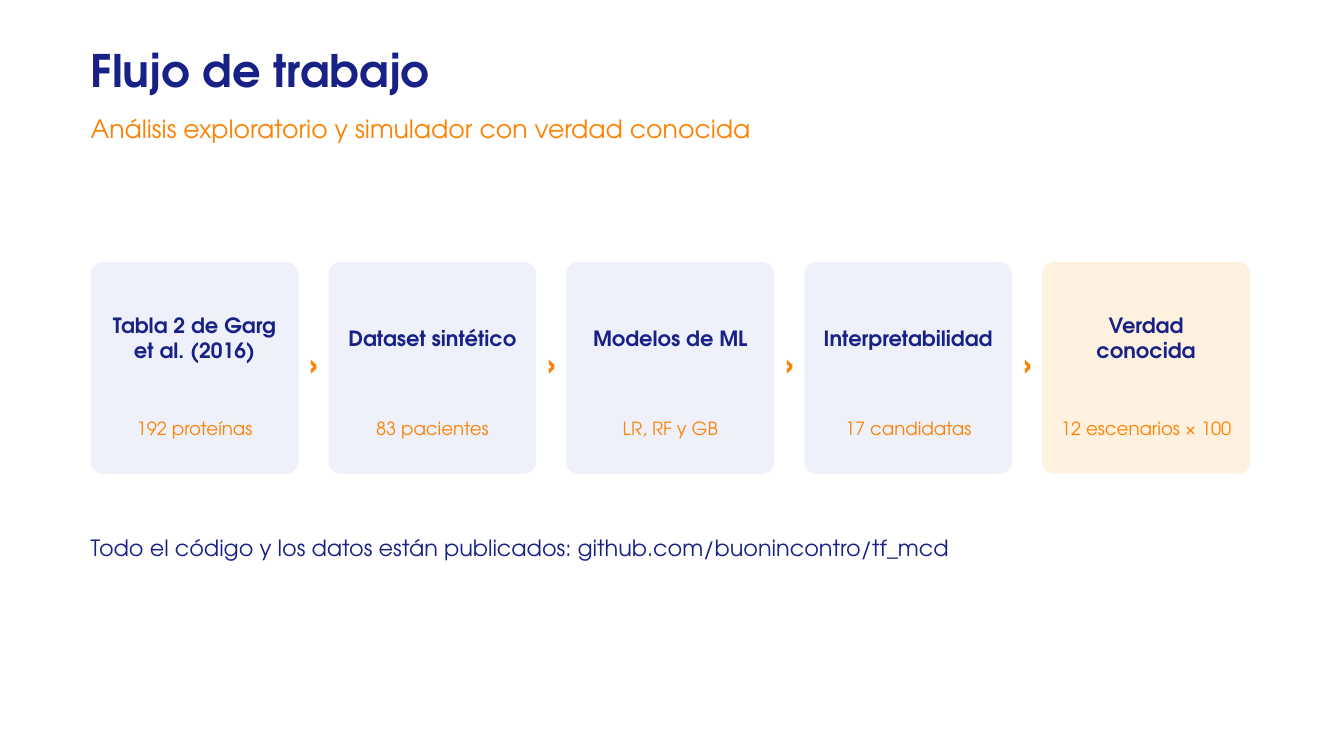
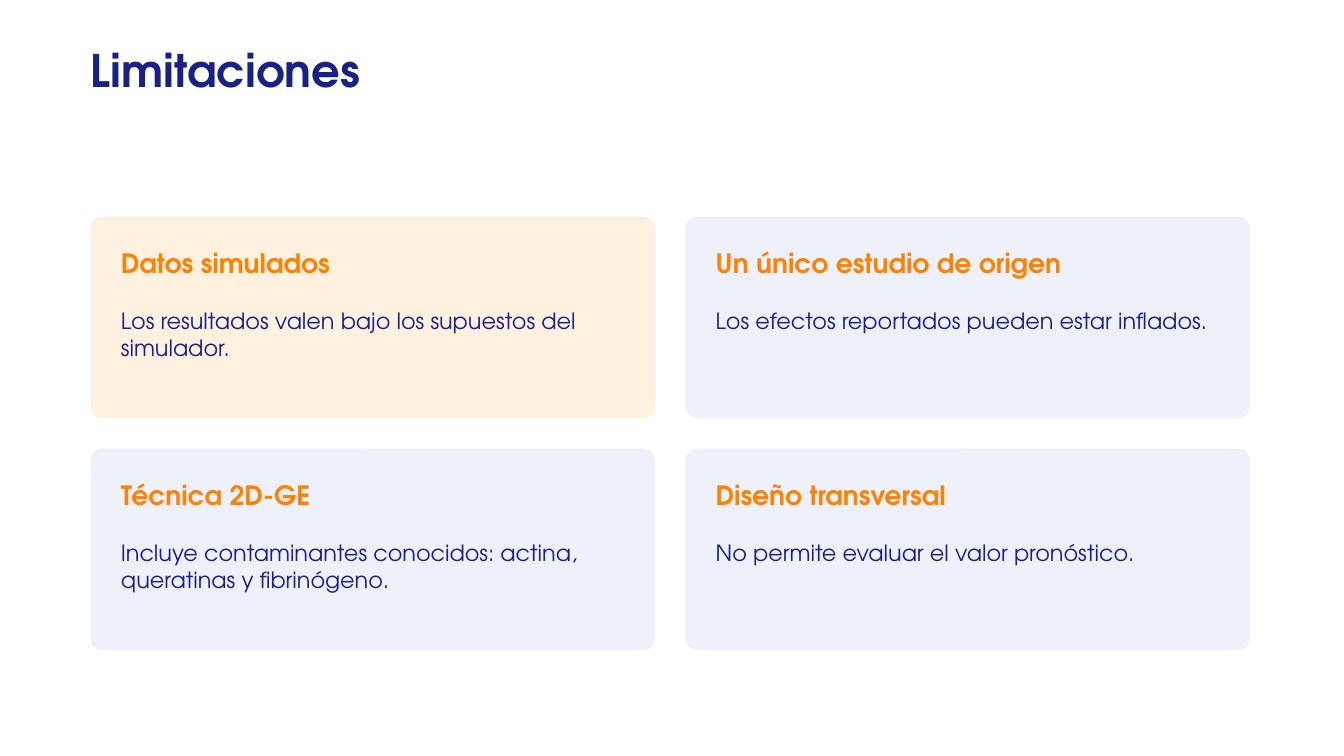
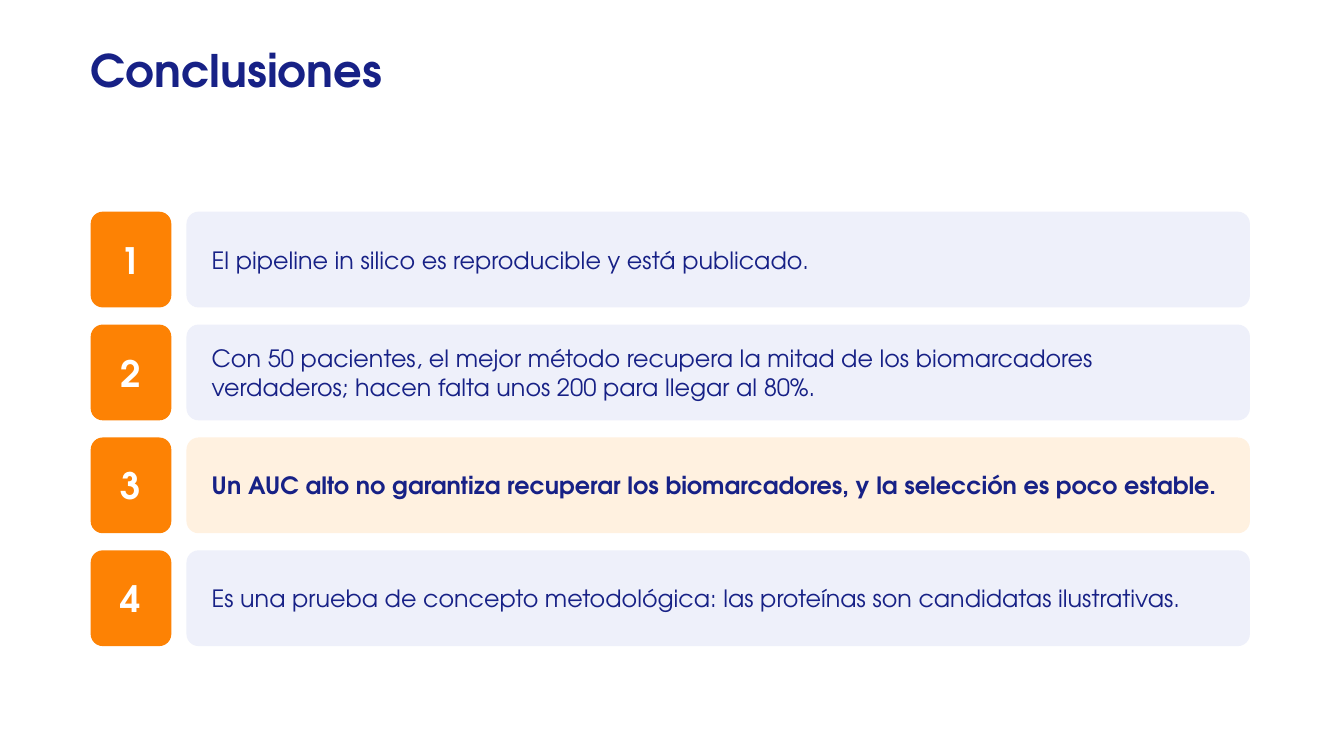
from pptx import Presentation
from pptx.dml.color import RGBColor
from pptx.enum.shapes import MSO_SHAPE
from pptx.enum.text import MSO_ANCHOR, MSO_AUTO_SIZE, PP_ALIGN
from pptx.util import Pt

COLORS = {
    "navy": "172186",
    "orange": "FD8204",
    "lavender": "EEF0FA",
    "cream": "FFF1E0",
    "white": "FFFFFF",
}
FONT = "TeX Gyre Adventor"
LEFT, WIDTH = 64.8, 828
RADIUS = 8.64


class Deck:
    def __init__(self):
        self.prs = Presentation()
        self.prs.slide_width, self.prs.slide_height = Pt(960), Pt(540)
        self.s = None

    def color(self, name):
        return RGBColor.from_string(COLORS[name])

    def slide(self, title, subtitle=None):
        self.s = self.prs.slides.add_slide(self.prs.slide_layouts[6])
        self.text(title, LEFT, 30.24, 734.4, 50.4, 32, bold=True)
        if subtitle:
            self.text(subtitle, LEFT, 80.64, 734.4, 32.4, 18, "orange")

    def text(self, text, x, y, w, h, size, color="navy", bold=False,
             middle=False, center=False):
        tf = self.s.shapes.add_textbox(Pt(x), Pt(y), Pt(w), Pt(h)).text_frame
        tf.word_wrap = True
        tf.auto_size = MSO_AUTO_SIZE.SHAPE_TO_FIT_TEXT
        tf.margin_left = tf.margin_top = tf.margin_right = tf.margin_bottom = 0
        tf.vertical_anchor = MSO_ANCHOR.MIDDLE if middle else MSO_ANCHOR.TOP
        p = tf.paragraphs[0]
        p.text = text
        p.alignment = PP_ALIGN.CENTER if center else PP_ALIGN.LEFT
        p.space_after = Pt(6)
        p.font.name, p.font.size, p.font.bold = FONT, Pt(size), bold
        p.font.color.rgb = self.color(color)

    def label(self, *args, **kwargs):
        self.text(*args, middle=True, center=True, **kwargs)

    def card(self, x, y, w, h, fill="lavender"):
        sp = self.s.shapes.add_shape(
            MSO_SHAPE.ROUNDED_RECTANGLE, Pt(x), Pt(y), Pt(w), Pt(h))
        sp.adjustments[0] = RADIUS / min(w, h)
        sp.shadow.inherit = False
        sp.fill.solid()
        sp.fill.fore_color.rgb = self.color(fill)
        sp.line.fill.background()


def workflow(deck):
    deck.slide("Flujo de trabajo",
               "Análisis exploratorio y simulador con verdad conocida")
    steps = [
        ("Tabla 2 de Garg et al. (2016)", "192 proteínas"),
        ("Dataset sintético", "83 pacientes"),
        ("Modelos de ML", "LR, RF y GB"),
        ("Interpretabilidad", "17 candidatas"),
        ("Verdad conocida", "12 escenarios × 100"),
    ]
    gap = 21.6
    w = (WIDTH - gap * (len(steps) - 1)) / len(steps)
    for i, (name, detail) in enumerate(steps):
        x = LEFT + i * (w + gap)
        last = i == len(steps) - 1
        deck.card(x, 187.2, w, 151.2, "cream" if last else "lavender")
        deck.label(name, x + 10.8, 201.6, w - 21.6, 79.2, 15, bold=True)
        deck.label(detail, x + 7.2, 284.4, w - 14.4, 43.2, 13, "orange")
        if not last:
            deck.label("›", x + w, 241.2, gap, 36, 28, "orange", bold=True)
    deck.text("Todo el código y los datos están publicados: "
              "github.com/buonincontro/tf_mcd", LEFT, 381.6, WIDTH, 28.8, 16)


def limitations(deck):
    deck.slide("Limitaciones")
    items = [
        ("Datos simulados",
         "Los resultados valen bajo los supuestos del simulador."),
        ("Un único estudio de origen",
         "Los efectos reportados pueden estar inflados."),
        ("Técnica 2D-GE",
         "Incluye contaminantes conocidos: actina, queratinas y fibrinógeno."),
        ("Diseño transversal", "No permite evaluar el valor pronóstico."),
    ]
    gap, h = 21.6, 144
    w = (WIDTH - gap) / 2
    for i, (heading, body) in enumerate(items):
        row, col = divmod(i, 2)
        x, y = LEFT + col * (w + gap), 154.8 + row * (h + gap)
        deck.card(x, y, w, h, "lavender" if i else "cream")
        deck.text(heading, x + gap, y + 21.6, w - 2 * gap, 28.8, 19,
                  "orange", bold=True)
        deck.text(body, x + gap, y + 64.8, w - 2 * gap, 64.8, 16)


def conclusions(deck):
    deck.slide("Conclusiones")
    items = [
        "El pipeline in silico es reproducible y está publicado.",
        "Con 50 pacientes, el mejor método recupera la mitad de los "
        "biomarcadores verdaderos; hacen falta unos 200 para llegar al 80%.",
        "Un AUC alto no garantiza recuperar los biomarcadores, "
        "y la selección es poco estable.",
        "Es una prueba de concepto metodológica: "
        "las proteínas son candidatas ilustrativas.",
    ]
    key = 3
    h, pitch, badge = 68.4, 80.64, 57.6
    x = LEFT + badge + 10.8
    w = LEFT + WIDTH - x
    for n, item in enumerate(items, 1):
        y = 151.2 + (n - 1) * pitch
        deck.card(LEFT, y, badge, h, "orange")
        deck.label(str(n), LEFT, y, badge, h, 26, "white", bold=True)
        deck.card(x, y, w, h, "cream" if n == key else "lavender")
        deck.text(item, x + 18, y, w - 32.4, h, 17, bold=n == key, middle=True)


def main():
    deck = Deck()
    workflow(deck)
    limitations(deck)
    conclusions(deck)
    deck.prs.save("out.pptx")


if __name__ == "__main__":
    main()
